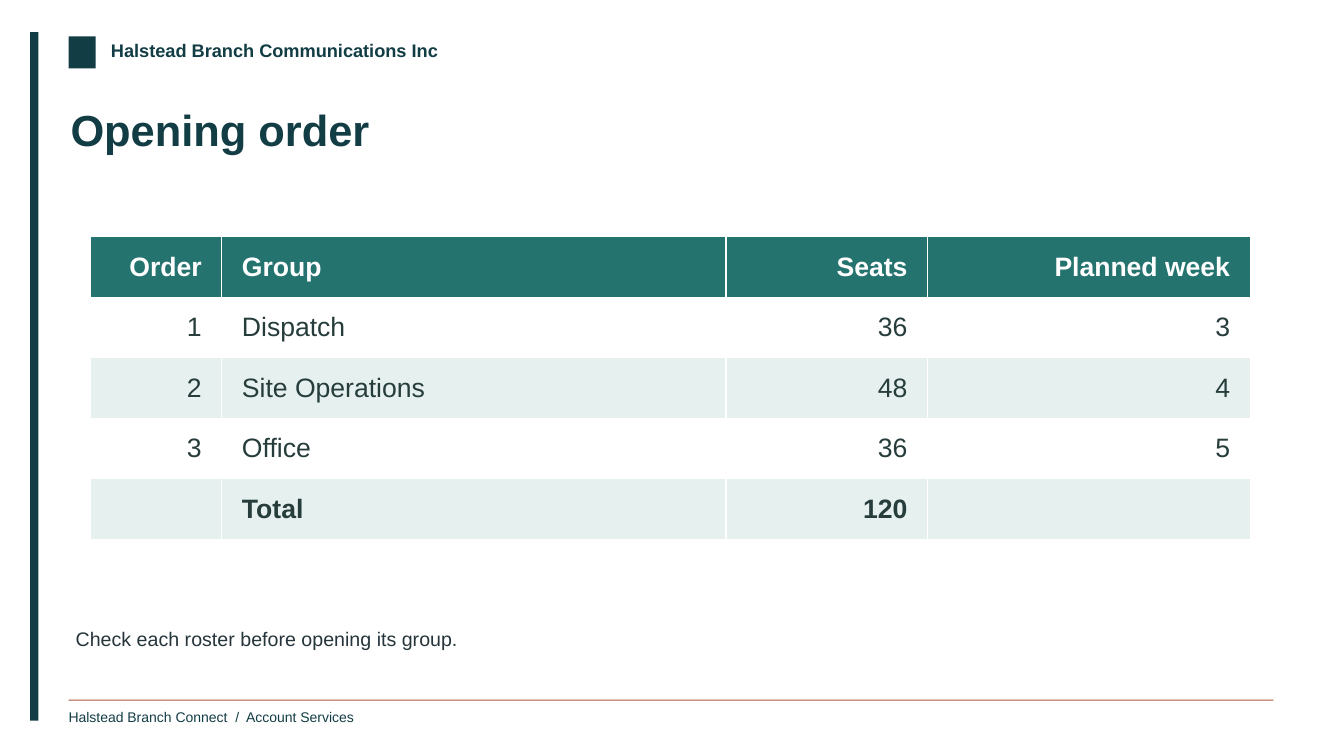
from typing import NamedTuple

from pptx import Presentation
from pptx.dml.color import RGBColor
from pptx.enum.shapes import MSO_SHAPE
from pptx.enum.text import MSO_ANCHOR, PP_ALIGN
from pptx.util import Inches, Pt

RECTANGLE = MSO_SHAPE.RECTANGLE
MIDDLE = MSO_ANCHOR.MIDDLE
LEFT, RIGHT = PP_ALIGN.LEFT, PP_ALIGN.RIGHT
FONT = "Arial"
COLORS = {
    "navy": "133D45",
    "rust": "AF5636",
    "note": "26353B",
    "cell": "263D3C",
    "teal": "24736F",
    "mint": "E6F0EF",
    "white": "FFFFFF",
}


class Box(NamedTuple):
    left: float
    top: float
    width: float
    height: float


class Bar(NamedTuple):
    box: Box
    color: str


class Label(NamedTuple):
    box: Box
    text: str
    size: int
    color: str
    bold: bool = False


class Column(NamedTuple):
    width: float
    align: PP_ALIGN


BARS = [
    Bar(Box(0.3, 0.32, 0.08, 6.83), "navy"),
    Bar(Box(0.68, 0.36, 0.27, 0.32), "navy"),
    Bar(Box(0.68, 6.94, 11.95, 0.01), "rust"),
]
LABELS = [
    Label(Box(1.1, 0.39, 3.55, 0.27), "Halstead Branch Communications Inc", 13, "navy", bold=True),
    Label(Box(0.68, 7.03, 3.2, 0.23), "Halstead Branch Connect  /  Account Services", 10, "navy"),
    Label(Box(0.7, 1.02, 11.9, 0.86), "Opening order", 31, "navy", bold=True),
    Label(Box(0.75, 6.22, 11.82, 0.44), "Check each roster before opening its group.", 14, "note"),
]
TABLE_BOX = Box(0.9, 2.35, 11.5, 3)
COLUMNS = [Column(1.3, RIGHT), Column(5, LEFT), Column(2, RIGHT), Column(3.2, RIGHT)]
ROWS = [
    ("Order", "Group", "Seats", "Planned week"),
    ("1", "Dispatch", "36", "3"),
    ("2", "Site Operations", "48", "4"),
    ("3", "Office", "36", "5"),
    ("", "Total", "120", ""),
]


def color_of(name: str) -> RGBColor:
    return RGBColor.from_string(COLORS[name])


def style_font(font, size: int, color: str, bold: bool) -> None:
    font.name = FONT
    font.size = Pt(size)
    font.bold = bold
    font.color.rgb = color_of(color)


def draw_bar(slide, bar: Bar) -> None:
    shape = slide.shapes.add_shape(RECTANGLE, *map(Inches, bar.box))
    shape.shadow.inherit = False
    shape.fill.solid()
    shape.fill.fore_color.rgb = color_of(bar.color)
    shape.line.fill.background()


def draw_label(slide, label: Label) -> None:
    text_frame = slide.shapes.add_textbox(*map(Inches, label.box)).text_frame
    text_frame.margin_left = text_frame.margin_right = Inches(0)
    text_frame.margin_top = text_frame.margin_bottom = Inches(0)
    text_frame.word_wrap = True
    text_frame.text = label.text
    style_font(text_frame.paragraphs[0].runs[0].font, label.size, label.color, label.bold)


def fill_cell(cell, text: str, row_index: int, align: PP_ALIGN) -> None:
    is_header = row_index == 0
    is_total = row_index == len(ROWS) - 1
    band = "white" if row_index % 2 else "mint"
    cell.fill.solid()
    cell.fill.fore_color.rgb = color_of("teal" if is_header else band)
    cell.margin_left = cell.margin_right = Inches(0.2)
    cell.margin_top = cell.margin_bottom = Inches(0.05)
    cell.vertical_anchor = MIDDLE
    cell.text_frame.text = text
    paragraph = cell.text_frame.paragraphs[0]
    paragraph.alignment = align
    for run in paragraph.runs:
        style_font(run.font, 19, "white" if is_header else "cell", is_header or is_total)


def draw_order_table(slide) -> None:
    frame = slide.shapes.add_table(len(ROWS), len(COLUMNS), *map(Inches, TABLE_BOX))
    table = frame.table
    for table_column, column in zip(table.columns, COLUMNS):
        table_column.width = Inches(column.width)
    for row_index, row in enumerate(ROWS):
        for column_index, text in enumerate(row):
            cell = table.cell(row_index, column_index)
            fill_cell(cell, text, row_index, COLUMNS[column_index].align)


def main() -> None:
    presentation = Presentation()
    presentation.slide_width = Inches(13.33)
    presentation.slide_height = Inches(7.5)
    slide = presentation.slides.add_slide(presentation.slide_layouts[6])
    for bar in BARS:
        draw_bar(slide, bar)
    for label in LABELS:
        draw_label(slide, label)
    draw_order_table(slide)
    presentation.save("out.pptx")


if __name__ == "__main__":
    main()
